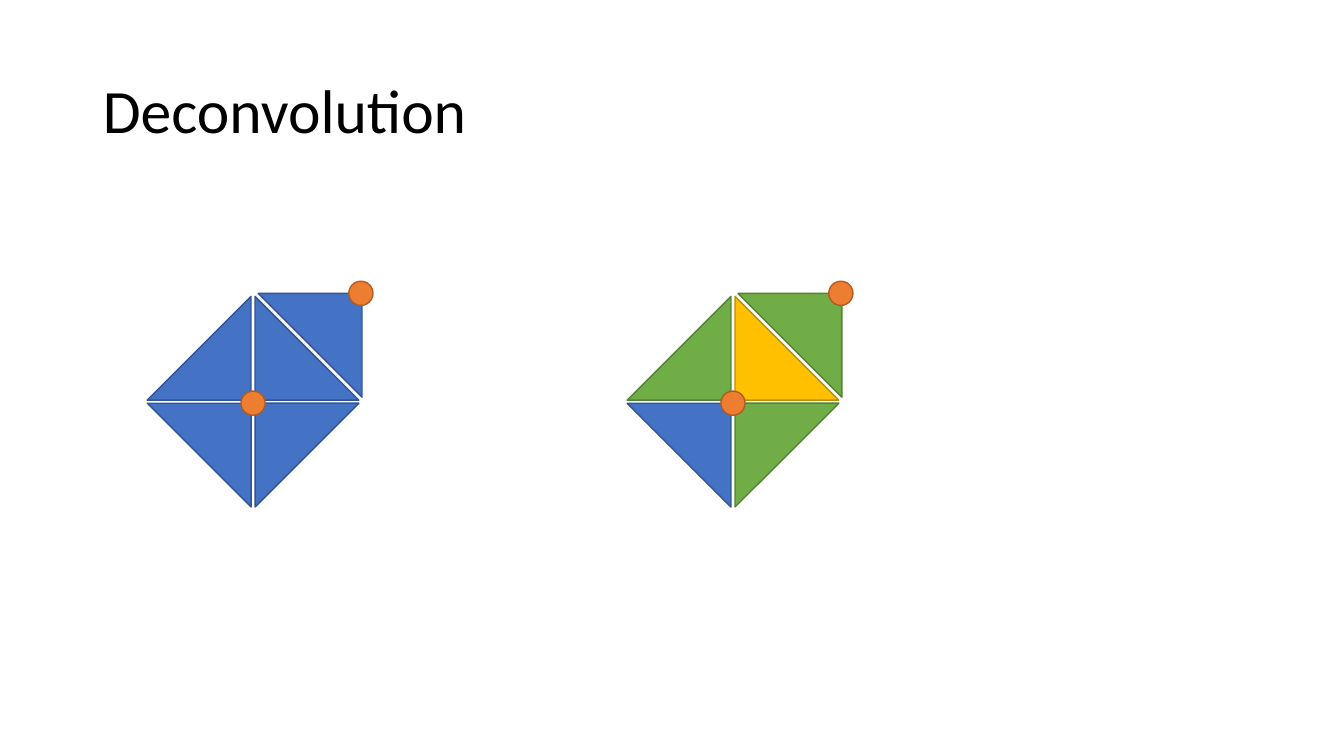
from pptx import Presentation
from pptx.dml.color import RGBColor
from pptx.enum.shapes import MSO_SHAPE as Shape
from pptx.enum.text import MSO_ANCHOR as Anchor, PP_ALIGN as Align
from pptx.util import Inches, Pt

COLOURS = {
    "black": "000000",
    "blue": "4472C4", "blue edge": "325491",
    "green": "70AD47", "green edge": "538035",
    "yellow": "FFC000", "yellow edge": "BD8E00",
    "orange": "ED7D31", "orange edge": "AF5C24",
}
TRIANGLE_SIZE = 1.03
DOT_SIZE = 0.24
MESH_TOP = 2.79

# Offsets from the mesh's left and top; rotation turns the right angle.
TRIANGLES = [
    (1.07, 0.15, 0),     # upper right
    (0, 0.15, 270),      # upper left
    (1.07, 1.21, 90),    # lower right
    (0, 1.21, 180),      # lower left
    (1.10, 0.12, 180),   # outer corner
]
DOTS = [(0.93, 1.09), (2.00, 0)]
MESHES = [
    (1.46, ["blue"] * 5),
    (6.22, ["yellow", "green", "green", "blue", "green"]),
]


def add_piece(page, kind, left, top, size, colour):
    """Add a square-sized shape with a fill and its darker edge."""
    piece = page.shapes.add_shape(
        kind, Inches(left), Inches(top), Inches(size), Inches(size))
    piece.shadow.inherit = False
    piece.fill.solid()
    piece.fill.fore_color.rgb = RGBColor.from_string(COLOURS[colour])
    piece.line.color.rgb = RGBColor.from_string(COLOURS[f"{colour} edge"])
    piece.line.width = Pt(1)
    return piece


deck = Presentation()
deck.slide_width = Inches(13.33)
deck.slide_height = Inches(7.5)
page = deck.slides.add_slide(deck.slide_layouts[5])

title = page.shapes.title
title.left, title.top = Inches(0.92), Inches(0.4)
title.width, title.height = Inches(11.5), Inches(1.45)
title.text_frame.vertical_anchor = Anchor.MIDDLE
title.text_frame.word_wrap = True
para = title.text_frame.paragraphs[0]
para.alignment = Align.LEFT
para.line_spacing = 0.9
span = para.add_run()
span.text = "Deconvolution"
span.font.name = "Calibri"
span.font.size = Pt(44)
span.font.color.rgb = RGBColor.from_string(COLOURS["black"])

for mesh_left, fills in MESHES:
    for (dx, dy, turn), colour in zip(TRIANGLES, fills):
        triangle = add_piece(page, Shape.RIGHT_TRIANGLE, mesh_left + dx,
                             MESH_TOP + dy, TRIANGLE_SIZE, colour)
        triangle.rotation = turn
    for dx, dy in DOTS:
        add_piece(page, Shape.OVAL, mesh_left + dx, MESH_TOP + dy,
                  DOT_SIZE, "orange")

deck.save("out.pptx")
